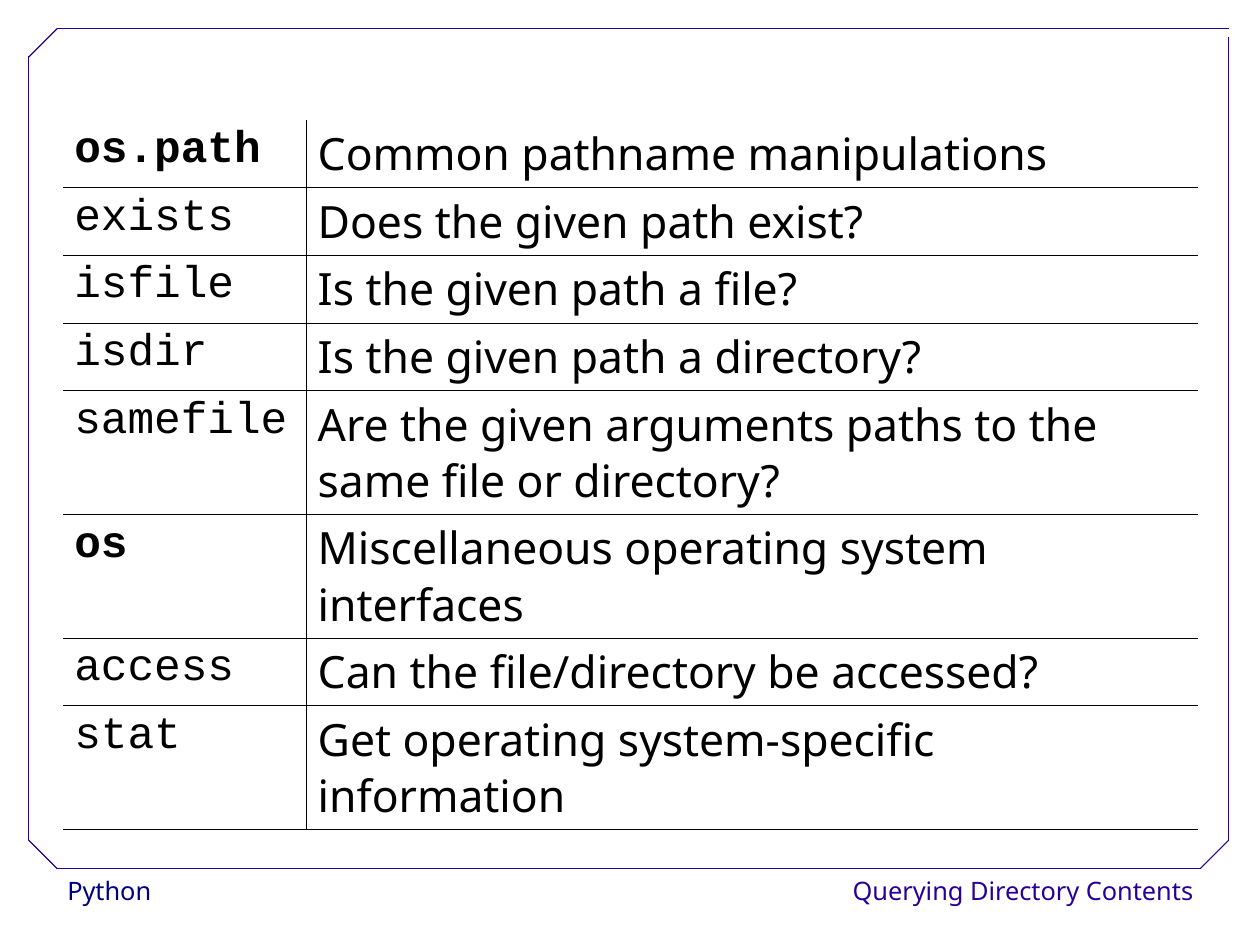
from dataclasses import dataclass

from lxml import etree
from pptx import Presentation
from pptx.dml.color import RGBColor
from pptx.enum import shapes, text
from pptx.oxml import ns
from pptx.util import Cm, Inches, Pt


@dataclass(frozen=True)
class Theme:
    white: str = "FFFFFF"
    black: str = "000000"
    navy: str = "000080"
    violet: str = "280099"
    body_font: str = "Noto Sans"
    code_font: str = "Courier New"
    table_size: float = 28
    footer_size: float = 16
    frame_width: float = 0.75
    rule_width: float = 0.45


THEME = Theme()
PLAIN_TABLE_STYLE = "{2D5ABB26-0587-4C30-8999-92F81FD0307C}"
TABLE_LEFT, TABLE_TOP = 0.55, 1.05
COLUMN_WIDTHS = (2.13, 7.8)
ONE_LINE, TWO_LINES = 0.53, 0.97

# name, meaning, is a module, row height
ENTRIES = [
    ("os.path", "Common pathname manipulations", True, ONE_LINE),
    ("exists", "Does the given path exist?", False, ONE_LINE),
    ("isfile", "Is the given path a file?", False, ONE_LINE),
    ("isdir", "Is the given path a directory?", False, ONE_LINE),
    ("samefile", "Are the given arguments paths to the same file or directory?",
     False, TWO_LINES),
    ("os", "Miscellaneous operating system interfaces", True, TWO_LINES),
    ("access", "Can the file/directory be accessed?", False, ONE_LINE),
    ("stat", "Get operating system-specific information", False, TWO_LINES),
]

FRAME_LINES = [
    ((0.5, 7.6), (10.5, 7.6)),
    ((0.25, 7.35), (0.25, 0.49)),
    ((0.5, 0.25), (10.75, 0.25)),
    ((10.75, 7.35), (10.75, 0.32)),
    ((0.25, 0.5), (0.5, 0.25)),
    ((10.5, 7.6), (10.75, 7.35)),
    ((0.25, 7.35), (0.5, 7.6)),
]


def write(frame, content, font, size, color, spacing, bold=False):
    """Put one formatted paragraph in a text frame and return it."""
    frame.text = content
    para = frame.paragraphs[0]
    para.line_spacing = spacing
    for span in para.runs:
        span.font.name = font
        span.font.size = Pt(size)
        span.font.bold = bold
        span.font.color.rgb = RGBColor.from_string(color)
    return para


def add_footer(page, left, width, content, color, align):
    box = page.shapes.add_shape(shapes.MSO_SHAPE.RECTANGLE, Inches(left),
                                Inches(7.6), Inches(width), Inches(0.4))
    box.shadow.inherit = False
    box.fill.solid()
    box.fill.fore_color.rgb = RGBColor.from_string(THEME.white)
    box.line.fill.background()
    frame = box.text_frame
    frame.word_wrap = False
    frame.vertical_anchor = text.MSO_ANCHOR.TOP
    para = write(frame, content, THEME.body_font, THEME.footer_size, color, 1.02)
    para.alignment = align


def add_frame(page):
    group = page.shapes.add_group_shape()
    for start, end in FRAME_LINES:
        points = [Inches(value) for value in start + end]
        line = group.shapes.add_connector(shapes.MSO_CONNECTOR.STRAIGHT, *points)
        line.line.color.rgb = RGBColor.from_string(THEME.violet)
        line.line.width = Pt(THEME.frame_width)
        etree.SubElement(line._element.spPr, ns.qn("a:effectLst"))


def set_borders(cell, visible):
    """Rule the named edges (L, R, T, B) and clear the others."""
    properties = cell._tc.get_or_add_tcPr()
    for edge in "LRTB":
        border = etree.SubElement(properties, ns.qn(f"a:ln{edge}"))
        if edge in visible:
            border.set("w", str(Pt(THEME.rule_width)))
            fill = etree.SubElement(border, ns.qn("a:solidFill"))
            etree.SubElement(fill, ns.qn("a:srgbClr"), val=THEME.black)
        else:
            etree.SubElement(border, ns.qn("a:noFill"))


def fill_cell(cell, content, font, bold, visible):
    para = write(cell.text_frame, content, font, THEME.table_size,
                 THEME.black, 0.93, bold)
    para.space_after = Pt(14.3)
    cell.margin_left = cell.margin_right = Inches(0.1)
    cell.margin_top = cell.margin_bottom = Inches(0.05)
    set_borders(cell, visible)
    cell.fill.background()


def add_function_table(page):
    height = sum(entry[3] for entry in ENTRIES)
    table = page.shapes.add_table(
        len(ENTRIES), len(COLUMN_WIDTHS), Inches(TABLE_LEFT), Inches(TABLE_TOP),
        Inches(sum(COLUMN_WIDTHS)), Inches(height)).table
    table.first_row = table.horz_banding = False
    table._tbl.tblPr.find(ns.qn("a:tableStyleId")).text = PLAIN_TABLE_STYLE
    for column, width in zip(table.columns, COLUMN_WIDTHS):
        column.width = Inches(width)
    for index, (name, meaning, is_module, row_height) in enumerate(ENTRIES):
        table.rows[index].height = Inches(row_height)
        level = "TB" if index else "B"
        fill_cell(table.cell(index, 0), name, THEME.code_font, is_module, "R" + level)
        fill_cell(table.cell(index, 1), meaning, THEME.body_font, False, "L" + level)


def main():
    deck = Presentation()
    deck.slide_width, deck.slide_height = Cm(28), Cm(21)
    page = deck.slides.add_slide(deck.slide_layouts[6])
    add_footer(page, 0.49, 2.15, "Python", THEME.navy, text.PP_ALIGN.LEFT)
    add_footer(page, 9.14, 1.4, "Querying Directory Contents", THEME.violet,
               text.PP_ALIGN.RIGHT)
    add_frame(page)
    add_function_table(page)
    deck.save("out.pptx")


if __name__ == "__main__":
    main()
